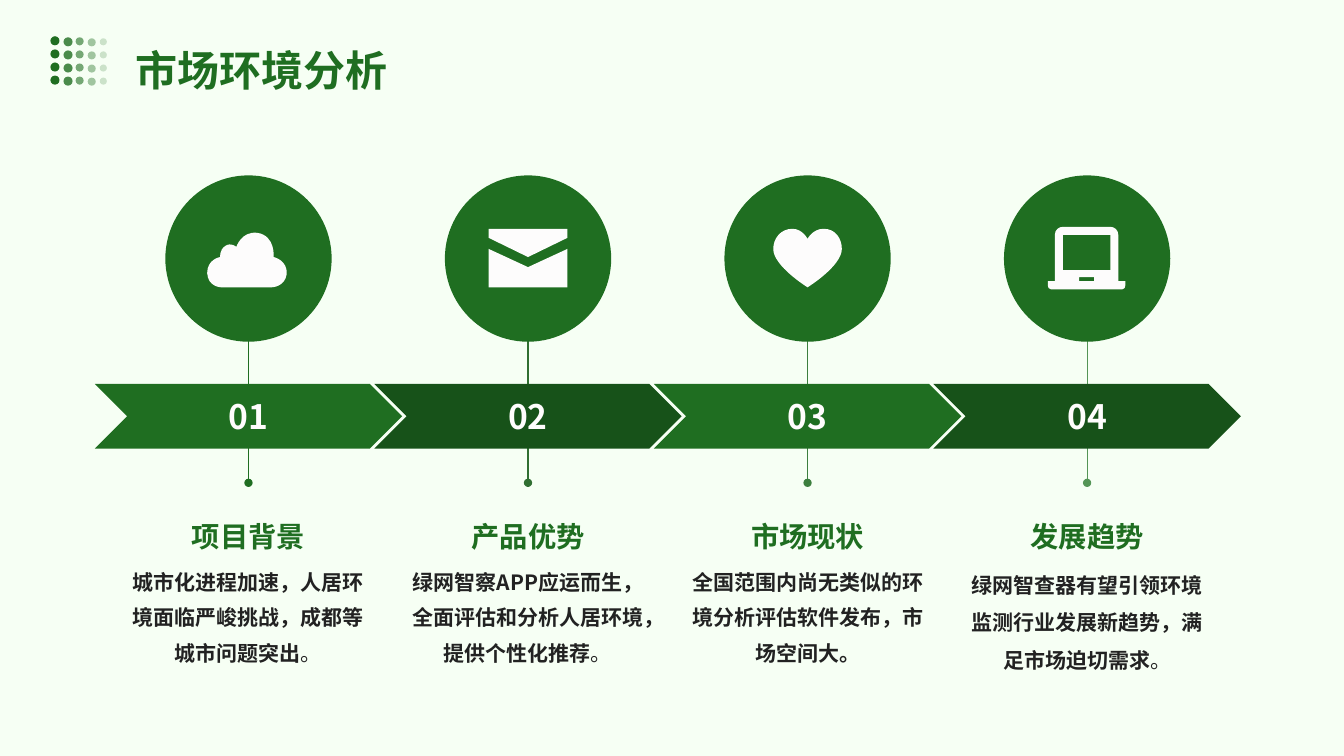
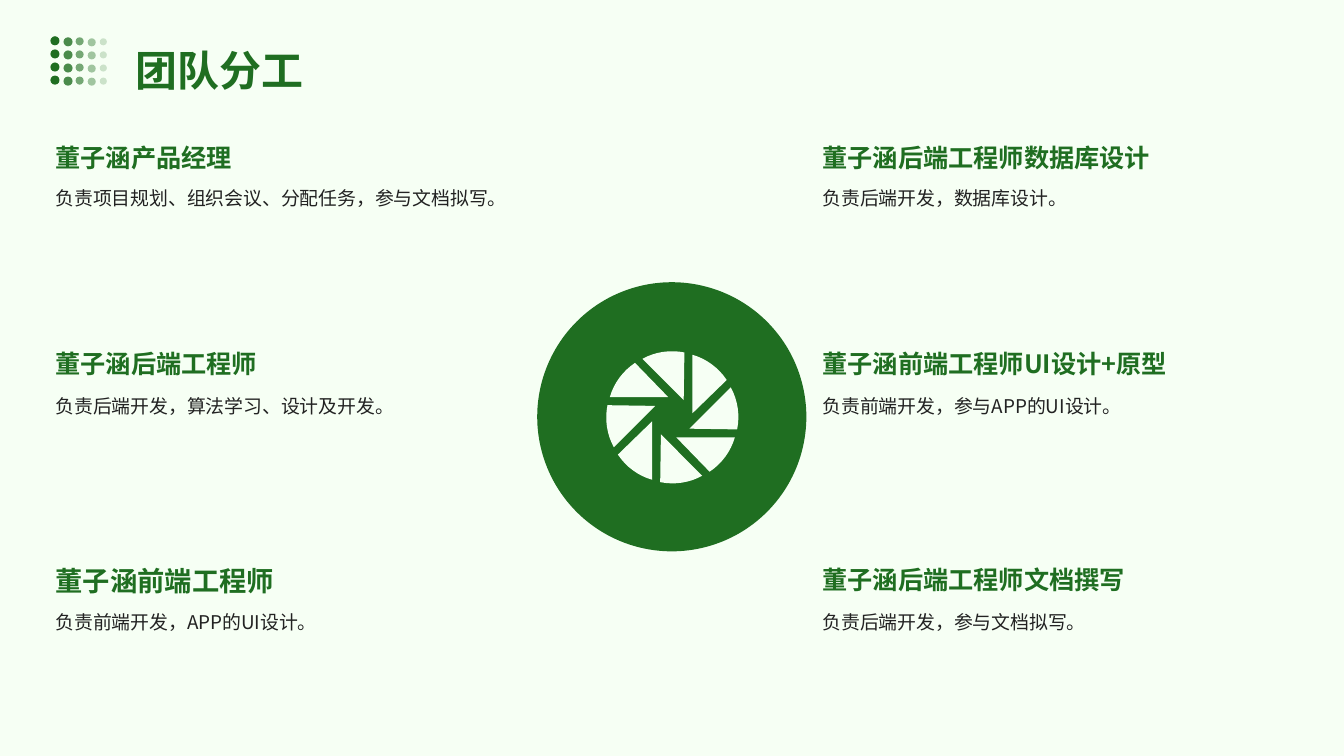
"""Build two green slides: a market analysis timeline and a team roles page."""
from dataclasses import dataclass
from math import cos, pi, sin

from lxml.etree import SubElement
from pptx import Presentation
from pptx.dml.color import RGBColor
from pptx.enum.shapes import MSO_CONNECTOR as CONN, MSO_SHAPE as SHAPE
from pptx.enum.text import MSO_ANCHOR as ANCHOR, MSO_AUTO_SIZE as FIT, PP_ALIGN as ALIGN
from pptx.oxml.ns import qn
from pptx.util import Inches, Pt


@dataclass(frozen=True)
class Theme:
    bg: str = "F6FFF4"
    green: str = "1F6E21"
    dark: str = "175219"
    ink: str = "222222"
    number: str = "FFFDFD"
    icon: str = "FDFCFC"
    font: str = "Noto Sans CJK SC"
    alt_font: str = "Noto Sans CJK JP"
    title: float = 30
    step_number: float = 24
    step_head: float = 20.2
    step_body: float = 15
    role: float = 18
    role_large: float = 19.5
    duty: float = 13.5


T = Theme()
WIDE = (0.14, 0.14, 0.06, 0.14)
TIGHT = (0.07, 0.04, 0.07, 0.04)
PATH_TAGS = {"M": "a:moveTo", "L": "a:lnTo", "C": "a:cubicBezTo", "Z": "a:close"}
POINT_COUNTS = {"M": 1, "L": 1, "C": 3, "Z": 0}

CLOUD = ("M 23 29 C 23 29 36 29 38 16 C 39 2 25 -1 25 -1 C 25 -1 27 -22 9 -25 "
         "C -7 -27 -12 -11 -12 -11 C -12 -11 -17 -16 -23 -12 C -29 -8 -28 -1 -28 -1 "
         "C -28 -1 -41 1 -41 15 C -40 29 -27 29 -27 29")
MAIL = ("M 0 -1 L 39 -20 L 39 -29 L -39 -29 L -39 -20 Z "
        "M 0 9 L -39 -9 L -39 29 L 39 29 L 39 -9 Z")
HEART = ("M 0 -19 C 0 -19 -5 -29 -15 -29 C -27 -29 -34 -19 -34 -9 C -34 8 0 29 0 29 "
         "C 0 29 34 8 34 -9 C 34 -19 28 -29 16 -29 C 5 -29 0 -19 0 -19 Z")
LAPTOP = ("M 31 23 L 38 23 L 38 27 C 38 29 37 31 35 31 L -36 31 C -38 31 -39 29 -39 27 "
          "L -39 23 L -32 23 L -32 -23 C -32 -28 -28 -31 -24 -31 L 23 -31 "
          "C 27 -31 31 -28 31 -23 L 31 23 Z M -24 -23 L -24 12 L 23 12 L 23 -23 Z "
          "M -8 19 L -8 23 L 7 23 L 7 19 Z")
BLADE = "M 20 -4 L 54 -37 C 46 -49 34 -58 20 -62 Z"

STEPS = [
    dict(head="项目背景", body="城市化进程加速，人居环境面临严峻挑战，成都等城市问题突出",
         icon=CLOUD, line="1F6E21"),
    dict(head="产品优势", body="绿网智察APP应运而生，全面评估和分析人居环境，提供个性化推荐",
         icon=MAIL, line="306F31"),
    dict(head="市场现状", body="全国范围内尚无类似的环境分析评估软件发布，市场空间大。",
         icon=HEART, line="3C7F3E", stop=None),
    dict(head="发展趋势", body="绿网智查器有望引领环境监测行业发展新趋势，满足市场迫切需求",
         icon=LAPTOP, line="549556", spacing=1.5),
]
ROLE_COLUMNS = [
    (0.41, [("董子涵产品经理", "负责项目规划、组织会议、分配任务，参与文档拟写。", T.role),
            ("董子涵后端工程师", "负责后端开发，算法学习、设计及开发。", T.role),
            ("董子涵前端工程师", "负责前端开发，APP的UI设计。", T.role_large)]),
    (8.02, [("董子涵后端工程师数据库设计", "负责后端开发，数据库设计。", T.role),
            ("董子涵前端工程师UI设计+原型", "负责前端开发，参与APP的UI设计。", T.role),
            ("董子涵后端工程师文档撰写", "负责后端开发，参与文档拟写。", T.role)]),
]
ROLE_ROWS = [(1.2, 1.6), (3.24, 3.66), (5.38, 5.81)]
DOT_COLUMNS = [(0.5, 0, 0.09), (0.63, 0.01, 0.09), (0.75, 0.01, 0.08),
               (0.87, 0.02, 0.08), (0.99, 0.02, 0.07)]


def rgb(value):
    return RGBColor.from_string(value)


def write(sp, *runs, size, color=T.ink, font=T.font, bold=False, align=ALIGN.LEFT,
          anchor=ANCHOR.TOP, insets=None, spacing=1.0, before=0):
    tf = sp.text_frame
    tf.word_wrap, tf.auto_size, tf.vertical_anchor = True, FIT.NONE, anchor
    if insets:
        (tf.margin_left, tf.margin_top,
         tf.margin_right, tf.margin_bottom) = map(Inches, insets)
    p = tf.paragraphs[0]
    p.alignment, p.line_spacing, p.space_before = align, spacing, Pt(before)
    for run in runs:
        text, weight = run if isinstance(run, tuple) else (run, bold)
        r = p.add_run()
        r.text = text
        r.font.size, r.font.bold, r.font.name = Pt(size), weight, font
        r.font.color.rgb = rgb(color)
        SubElement(r.font._element, qn("a:ea"), typeface=font)


def add_text(s, box, *runs, **fmt):
    write(s.shapes.add_textbox(*map(Inches, box)), *runs, **fmt)


def paint(sp, color, alpha=100):
    sp.shadow.inherit = False
    sp.fill.solid()
    sp.fill.fore_color.rgb = rgb(color)
    sp.line.fill.background()
    if alpha < 100:
        clr = sp.fill._xPr.find(qn("a:solidFill"))[0]
        SubElement(clr, qn("a:alpha"), val=str(alpha * 1000))
    return sp


def add_shape(shapes, kind, box, color, alpha=100):
    return paint(shapes.add_shape(kind, *map(Inches, box)), color, alpha)


def parse_outline(outline):
    tokens = iter(outline.split())
    return [(cmd, [(int(next(tokens)) / 100, int(next(tokens)) / 100)
                   for _ in range(POINT_COUNTS[cmd])]) for cmd in tokens]


def add_outline(s, commands, cx, cy, side, color):
    left, top, size = Inches(cx - side / 2), Inches(cy - side / 2), Inches(side)
    builder = s.shapes.build_freeform(left, top)
    builder.add_line_segments([(left + size, top + size)])
    sp = paint(builder.convert_to_shape(), color)
    outline = next(sp._element.iter(qn("a:path")))
    for child in list(outline):
        outline.remove(child)
    for cmd, pts in commands:
        node = SubElement(outline, qn(PATH_TAGS[cmd]))
        for x, y in pts:
            SubElement(node, qn("a:pt"), x=str(Inches(x + side / 2)),
                       y=str(Inches(y + side / 2)))


def aperture(blades=8):
    turns = [2 * pi * i / blades for i in range(blades)]
    return [(cmd, [(x * cos(a) - y * sin(a), x * sin(a) + y * cos(a)) for x, y in pts])
            for a in turns for cmd, pts in parse_outline(BLADE)]


def add_stem(s, x, color):
    line = s.shapes.add_connector(CONN.STRAIGHT, *map(Inches, (x, 3.05, x, 4.79)))
    line.line.width = Pt(0.75)
    line.line.color.rgb = rgb(color)
    SubElement(line.line._get_or_add_ln(), qn("a:tailEnd"), type="oval")
    SubElement(line._element.spPr, qn("a:effectLst"))


def new_slide(prs, layout, title, font=T.font):
    s = prs.slides.add_slide(layout)
    write(s.shapes.title, title, size=T.title, color=T.green, font=font, bold=True,
          insets=WIDE, spacing=1.4)
    dots = s.shapes.add_group_shape().shapes
    for row in range(4):
        for col, (x, dy, d) in enumerate(DOT_COLUMNS):
            add_shape(dots, SHAPE.OVAL, (x, 0.36 + 0.13 * row + dy, d, d),
                      T.green, 100 - 20 * col)
    return s


def market_slide(prs, layout):
    s = new_slide(prs, layout, "市场环境分析", T.alt_font)
    first, last, width = 0.94, 9.26, 3.05
    for i, step in enumerate(STEPS):
        left = first + i * (last - first) / (len(STEPS) - 1)
        cx = left + width / 2
        add_stem(s, cx, step["line"])
        arrow = add_shape(s.shapes, SHAPE.CHEVRON, (left, 3.81, width, 0.64),
                          T.dark if i % 2 else T.green)
        write(arrow, f"{i + 1:02}", size=T.step_number, color=T.number, bold=True,
              align=ALIGN.CENTER, anchor=ANCHOR.MIDDLE)
        add_shape(s.shapes, SHAPE.OVAL, (cx - 1.65 / 2, 1.74, 1.65, 1.65), T.green)
        add_outline(s, parse_outline(step["icon"]), cx, 2.56, 0.78, T.icon)
        add_text(s, (cx - 2.23 / 2, 5.02, 2.23, 0.54), step["head"], size=T.step_head,
                 color=T.green, font=T.alt_font, bold=True, align=ALIGN.CENTER,
                 anchor=ANCHOR.MIDDLE, insets=TIGHT, spacing=1.2)
        stop = step.get("stop", "。")
        runs = [(step["body"], True)] + ([(stop, False)] if stop else [])
        add_text(s, (cx - 2.5 / 2, 5.51, 2.5, 1.28), *runs, size=T.step_body,
                 align=ALIGN.CENTER, insets=TIGHT, spacing=step.get("spacing", 1.4))


def team_slide(prs, layout):
    s = new_slide(prs, layout, "团队分工")
    add_shape(s.shapes, SHAPE.OVAL, (5.33, 2.8, 2.67, 2.67), T.green)
    add_outline(s, aperture(), 6.67, 4.14, 1.31, T.bg)
    for x, roles in ROLE_COLUMNS:
        for (role, duty, size), (role_y, duty_y) in zip(roles, ROLE_ROWS):
            add_text(s, (x, role_y, 4.91, 0.66), role, size=size, color=T.green,
                     bold=True, insets=WIDE, spacing=1.25, before=4.5)
            add_text(s, (x, duty_y, 4.91, 1.32), duty, size=T.duty, insets=WIDE,
                     spacing=1.5)


def main():
    prs = Presentation()
    prs.slide_width, prs.slide_height = Inches(7.5 * 16 / 9), Inches(7.5)
    fill = prs.slide_master.background.fill
    fill.solid()
    fill.fore_color.rgb = rgb(T.bg)
    layout = prs.slide_layouts.get_by_name("Title Only")
    title = layout.placeholders[0]
    title.left, title.top, title.width, title.height = map(Inches, (1.2, 0.1, 10.94, 1))
    market_slide(prs, layout)
    team_slide(prs, layout)
    prs.save("out.pptx")


if __name__ == "__main__":
    main()
